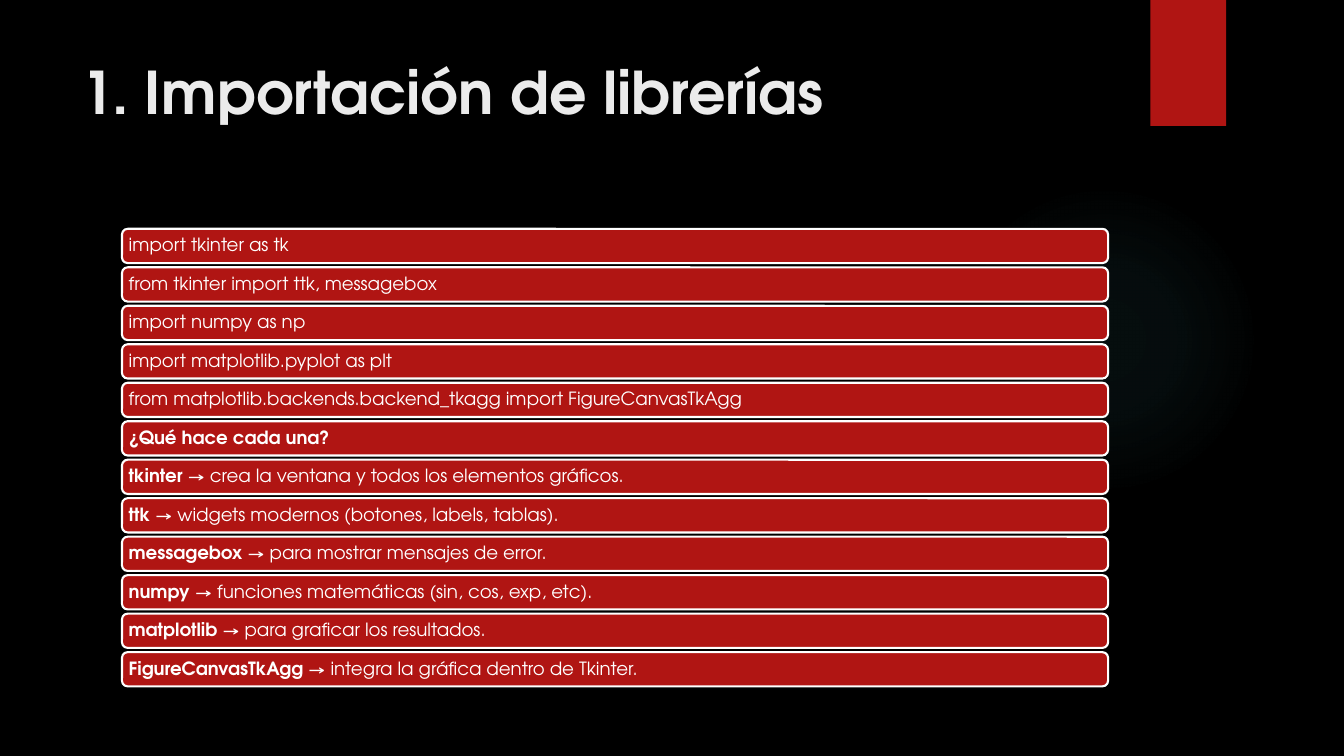
from dataclasses import dataclass

from lxml import etree
from pptx import Presentation, util as u
from pptx.dml.color import RGBColor
from pptx.enum import shapes, text
from pptx.oxml.ns import qn

FONT = "TeX Gyre Adventor"
RED, WHITE, BLACK, PALE, TEAL = "B01513", "FFFFFF", "000000", "EBEBEB", "50B9C1"
WIDE, HIGH = u.Inches(13.33), u.Inches(7.5)


@dataclass
class Box:
    """A frame in percent of the slide's width and height."""
    left: float
    top: float
    width: float
    height: float

    def frame(self) -> list[int]:
        return [int(share * size / 100) for share, size in
                ((self.left, WIDE), (self.top, HIGH),
                 (self.width, WIDE), (self.height, HIGH))]


@dataclass
class Row:
    bold: str = ""
    plain: str = ""


TITLE = Box(5.33, 6.67, 77.2, 20.4)
RIBBON = Box(85.6, 0, 5.63, 16.67)
GLOW = Box(70.6, 24.4, 23.1, 41.07)
FIRST = Box(9.08, 30.27, 73.37, 4.53)
PITCH = 5.09

ROWS = [
    Row(plain="import tkinter as tk"),
    Row(plain="from tkinter import ttk, messagebox"),
    Row(plain="import numpy as np"),
    Row(plain="import matplotlib.pyplot as plt"),
    Row(plain="from matplotlib.backends.backend_tkagg import FigureCanvasTkAgg"),
    Row(bold="¿Qué hace cada una?"),
    Row("tkinter", " → crea la ventana y todos los elementos gráficos."),
    Row("ttk", " → widgets modernos (botones, labels, tablas)."),
    Row("messagebox", " → para mostrar mensajes de error."),
    Row("numpy", " → funciones matemáticas (sin, cos, exp, etc)."),
    Row("matplotlib", " → para graficar los resultados."),
    Row("FigureCanvasTkAgg", " → integra la gráfica dentro de Tkinter."),
]


def paint(fill, color: str) -> None:
    fill.solid()
    fill.fore_color.rgb = RGBColor.from_string(color)


def add_run(para, words: str, size: float, color: str, bold: bool) -> None:
    run = para.add_run()
    run.text = words
    run.font.name = FONT
    run.font.size = u.Pt(size)
    run.font.bold = bold
    paint(run.font.fill, color)


def add_block(slide, kind, box: Box, color: str):
    block = slide.shapes.add_shape(kind, *box.frame())
    block.shadow.inherit = False
    paint(block.fill, color)
    block.line.fill.background()
    return block


def add_glow(slide) -> None:
    """Draw a round gradient that fades out towards its rim."""
    glow = add_block(slide, shapes.MSO_SHAPE.OVAL, GLOW, TEAL)
    props = glow.fill._xPr
    solid = props.find(qn("a:solidFill"))
    grad = etree.Element(qn("a:gradFill"))
    stops = etree.SubElement(grad, qn("a:gsLst"))
    for place, alpha in ((0, 7), (36, 6), (69, 0)):
        stop = etree.SubElement(stops, qn("a:gs"), pos=str(place * 1000))
        color = etree.SubElement(stop, qn("a:srgbClr"), val=TEAL)
        etree.SubElement(color, qn("a:alpha"), val=str(alpha * 1000))
    circle = etree.SubElement(grad, qn("a:path"), {"path": "circle"})
    etree.SubElement(circle, qn("a:fillToRect"),
                     {side: "50000" for side in "ltrb"})
    props.replace(solid, grad)


def add_title(slide) -> None:
    title = slide.shapes.title
    title.left, title.top, title.width, title.height = TITLE.frame()
    body = title.text_frame
    body.vertical_anchor = text.MSO_ANCHOR.TOP
    para = body.paragraphs[0]
    para.alignment = text.PP_ALIGN.LEFT
    add_run(para, "1. Importación de librerías", 42, PALE, True)


def add_bar(slide, index: int, row: Row) -> None:
    box = Box(FIRST.left, FIRST.top + index * PITCH, FIRST.width, FIRST.height)
    bar = add_block(slide, shapes.MSO_SHAPE.ROUNDED_RECTANGLE, box, RED)
    paint(bar.line.fill, WHITE)
    bar.line.width = u.Pt(1.5)
    body = bar.text_frame
    body.word_wrap = True
    body.vertical_anchor = text.MSO_ANCHOR.MIDDLE
    body.margin_left = body.margin_right = u.Inches(0.05)
    body.margin_top = body.margin_bottom = u.Inches(0.05)
    para = body.paragraphs[0]
    para.alignment = text.PP_ALIGN.LEFT
    para.line_spacing = 0.9
    para.space_after = u.Pt(4.5)
    for words, bold in ((row.bold, True), (row.plain, False)):
        if words:
            add_run(para, words, 13, WHITE, bold)


def main() -> None:
    deck = Presentation()
    deck.slide_width, deck.slide_height = WIDE, HIGH
    slide = deck.slides.add_slide(deck.slide_layouts.get_by_name("Title Only"))
    paint(slide.background.fill, BLACK)
    add_glow(slide)
    add_block(slide, shapes.MSO_SHAPE.RECTANGLE, RIBBON, RED)
    add_title(slide)
    for index, row in enumerate(ROWS):
        add_bar(slide, index, row)
    deck.save("out.pptx")


if __name__ == "__main__":
    main()
